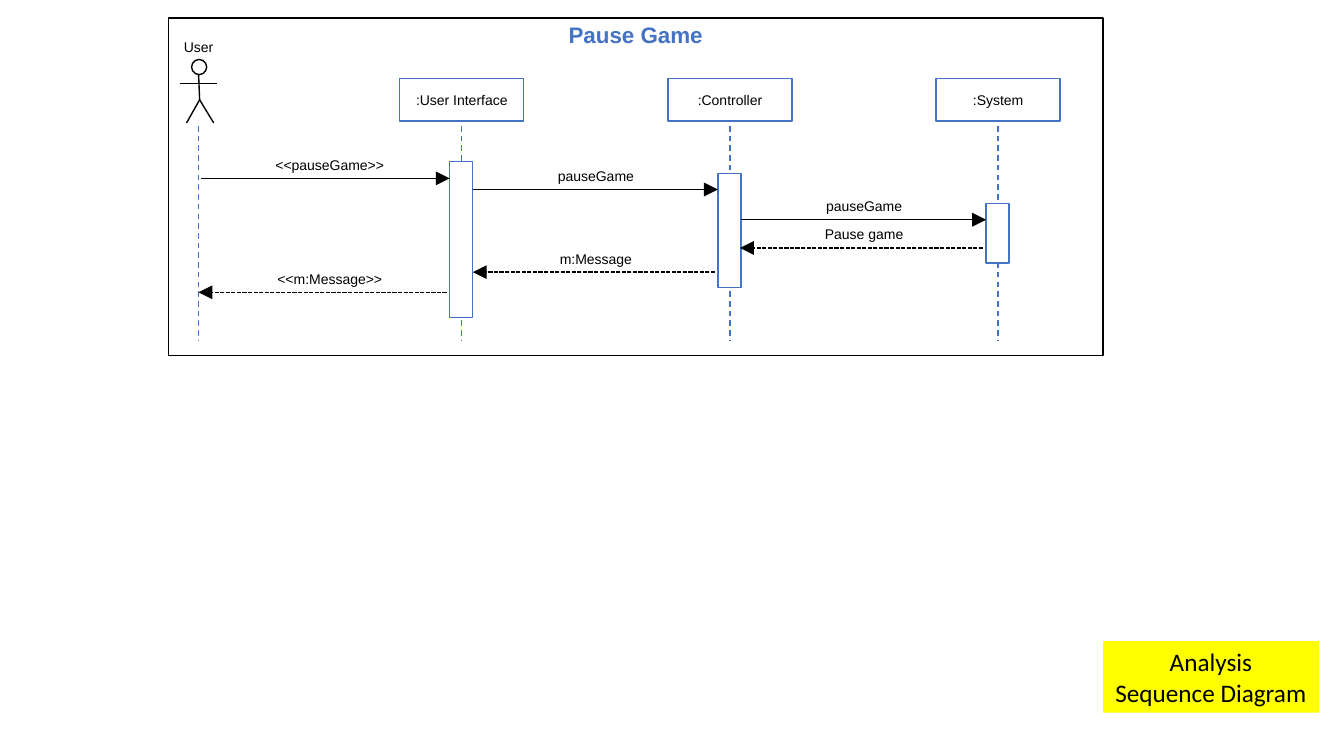
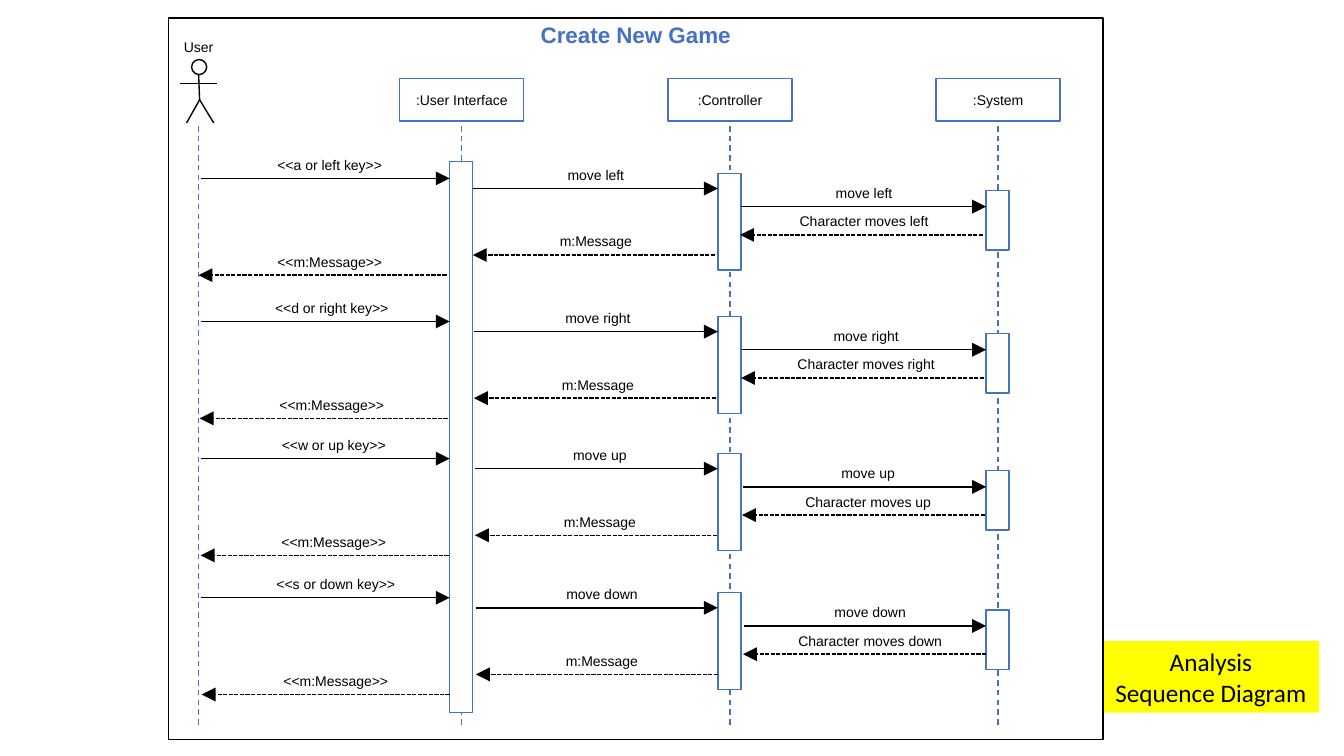
from pptx import Presentation
from pptx.dml.color import RGBColor
from pptx.enum.dml import MSO_LINE
from pptx.enum.shapes import MSO_CONNECTOR, MSO_SHAPE
from pptx.enum.text import MSO_ANCHOR, PP_ALIGN
from pptx.oxml.ns import qn
from pptx.oxml.xmlchemy import OxmlElement
from pptx.util import Inches, Pt

# Content: a round is (start height, key, call, reply)
SLIDES = [
    {"title": "Pause Game", "end": 3.53, "bar": 3.15,
     "steps": (0, .11, .41, .69, .93, 1.13),
     "rounds": [(1.77, "<<pauseGame>>", "pauseGame", "Pause game")]},
    {"title": "Create New Game", "end": 7.34, "bar": 7.07,
     "steps": (0, .1, .28, .56, .76, .96),
     "rounds": [
         (1.77, "<<a or left key>>", "move left", "Character moves left"),
         (3.19, "<<d or right key>>", "move right", "Character moves right"),
         (4.55, "<<w or up key>>", "move up", "Character moves up"),
         (5.93, "<<s or down key>>", "move down", "Character moves down")]},
]
HEADS = [":User Interface", ":Controller", ":System"]
TAG = ["Analysis", "Sequence Diagram"]

# Shared style
COLORS = {"ink": "000000", "blue": "4472C4", "paper": "FFFFFF", "tag": "FFFF00"}
LEFT, TOP, WIDE = 1.67, .18, 9.27
USER = 1.97
LANES = [4.58 + 2.66 * i for i in range(3)]
HALF = .12           # half the width of an activation bar
HEAD_W, HEAD_H = 1.23, .42
LABEL_W, LABEL_H = 2.2, .27   # narrow enough to stay clear of the bars
MIDS = [3.27, 5.91, 8.57]     # label centres between the lanes
DRIFT = .01          # each round sits slightly further right


def tint(name):
    return RGBColor.from_string(COLORS[name])


def write(shape, lines, size=10, color="ink", font="Arial", bold=False):
    frame = shape.text_frame
    frame.word_wrap = True
    frame.vertical_anchor = MSO_ANCHOR.MIDDLE
    frame.text = "\n".join(lines)
    for para in frame.paragraphs:
        para.alignment = PP_ALIGN.CENTER
        para.font.size = Pt(size)
        para.font.name = font
        para.font.bold = bold
        para.font.color.rgb = tint(color)


def box(shapes, x, y, w, h, fill=None, line=None, kind=MSO_SHAPE.RECTANGLE):
    shape = shapes.add_shape(kind, Inches(x), Inches(y), Inches(w), Inches(h))
    shape.shadow.inherit = False
    if fill:
        shape.fill.solid()
        shape.fill.fore_color.rgb = tint(fill)
    else:
        shape.fill.background()
    if line:
        shape.line.color.rgb = tint(line)
        shape.line.width = Pt(1)
    else:
        shape.line.fill.background()
    return shape


def rule(shapes, x1, y1, x2, y2, color="ink", dash=None, arrow=False):
    line = shapes.add_connector(MSO_CONNECTOR.STRAIGHT, Inches(x1), Inches(y1),
                                Inches(x2), Inches(y2))
    line.line.color.rgb = tint(color)
    line.line.width = Pt(1)
    if dash:
        line.line.dash_style = dash
    props = line._element.spPr
    if arrow:
        tip = OxmlElement("a:tailEnd")
        for key, value in [("type", "triangle"), ("w", "lg"), ("len", "lg")]:
            tip.set(key, value)
        props.find(qn("a:ln")).append(tip)
    props.append(OxmlElement("a:effectLst"))


def actor(shapes):
    group = shapes.add_group_shape().shapes
    box(group, 1.9, .59, .15, .15, line="ink", kind=MSO_SHAPE.OVAL)
    for ends in [(1.97, .74, 1.98, .99), (1.98, .99, 2.12, 1.22),
                 (1.98, .99, 1.85, 1.22), (1.79, .83, 2.15, .83)]:
        rule(group, *ends)
    name = shapes.add_textbox(Inches(1.56), Inches(.33), Inches(.82), Inches(.27))
    write(name, ["User"])


def label(shapes, text, mid, y):
    shape = box(shapes, mid - LABEL_W / 2, y - LABEL_H, LABEL_W, LABEL_H, "paper")
    write(shape, [text])


def bar(shapes, lane, top, end):
    box(shapes, lane - HALF, top, 2 * HALF - .01, end - top, "paper", "blue")


def talk(shapes, turn, steps, start, key, call, reply):
    """One round: three requests going right, three replies going left."""
    ys = [start + step for step in steps]
    texts = [key, call, call, reply, "m:Message", "<<m:Message>>"]
    gaps = [0, 1, 2, 2, 1, 0]
    shift = turn * DRIFT
    for text, gap, y in zip(texts, gaps, ys):
        label(shapes, text, MIDS[gap] + 2 * shift, y)
    bar(shapes, LANES[1], ys[0] - .05, ys[4] + .15)
    bar(shapes, LANES[2], ys[2] - .16, ys[2] + .43)
    starts = [USER + .02, LANES[0] + .11 + shift, LANES[1] + .11 + shift]
    backs = [USER, LANES[0] + .11, LANES[1] + .1]
    for i, (gap, y) in enumerate(zip(gaps, ys)):
        if i < 3:
            rule(shapes, starts[gap], y, LANES[gap] - HALF, y, arrow=True)
        else:
            rule(shapes, LANES[gap] - .15 + shift, y, backs[gap] + shift, y,
                 dash=MSO_LINE.SQUARE_DOT, arrow=True)


def build(deck, data):
    slide = deck.slides.add_slide(deck.slide_layouts[5])
    shapes = slide.shapes
    # Title
    title = shapes.title
    title.left, title.top = Inches(LEFT), Inches(.16)
    title.width, title.height = Inches(WIDE), Inches(.37)
    write(title, [data["title"]], 16, "blue", bold=True)
    # Lifelines and heads
    for x in [USER] + LANES:
        rule(shapes, x, 1.25, x, data["end"] - .15, "blue", MSO_LINE.DASH)
    actor(shapes)
    for lane, text in zip(LANES, HEADS):
        head = box(shapes, lane - HEAD_W / 2, .78, HEAD_W, HEAD_H, "paper", "blue")
        write(head, [text])
    # Messages
    bar(shapes, LANES[0], 1.6, data["bar"])
    for turn, item in enumerate(data["rounds"]):
        talk(shapes, turn, data["steps"], *item)
    # Tag and frame
    tag = box(shapes, LEFT + WIDE, 6.36, 2.14, .71, "tag")
    write(tag, TAG, 18, font="Calibri")
    box(shapes, LEFT, TOP, WIDE, data["end"] - TOP, line="ink")


deck = Presentation()
deck.slide_width, deck.slide_height = Inches(13.33), Inches(7.5)
for data in SLIDES:
    build(deck, data)
deck.save("out.pptx")
